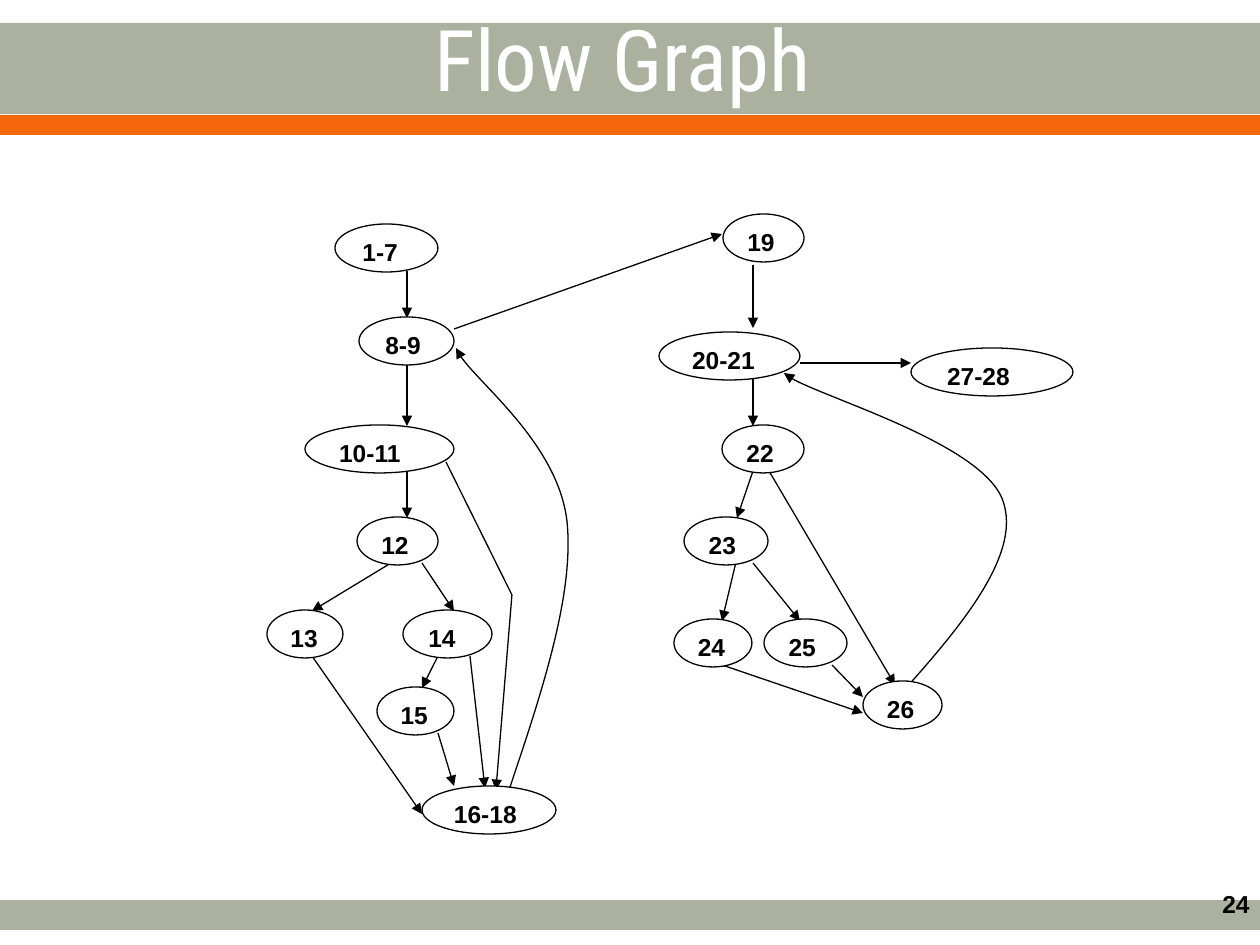
"""Build a slide with the flow graph of a program's line ranges."""
from dataclasses import dataclass

from lxml import etree
from pptx import Presentation
from pptx.dml.color import RGBColor
from pptx.enum.shapes import MSO_CONNECTOR, MSO_SHAPE
from pptx.enum.text import MSO_ANCHOR, PP_ALIGN
from pptx.oxml.ns import qn
from pptx.util import Pt

PX = 914400 / 126
NODE_HEIGHT = 48
OVAL, RECTANGLE = MSO_SHAPE.OVAL, MSO_SHAPE.RECTANGLE
STRAIGHT = MSO_CONNECTOR.STRAIGHT
LEFT, CENTER, RIGHT = PP_ALIGN.LEFT, PP_ALIGN.CENTER, PP_ALIGN.RIGHT
TOP, MIDDLE = MSO_ANCHOR.TOP, MSO_ANCHOR.MIDDLE
BLACK, WHITE, SAGE, ORANGE = "000000", "FFFFFF", "ABB19F", "F4680B"
LABEL_FORMAT = {"name": "Arial", "size": Pt(14), "bold": True}
TITLE_FORMAT = {"name": "Roboto Condensed", "size": Pt(48.6)}


@dataclass
class Band:
    """A full-width colour band."""
    top: int
    height: int
    color: str


@dataclass
class Node:
    """A block of program lines."""
    lines: str
    left: int
    top: int
    width: int


@dataclass
class Edge:
    """A straight jump between two points."""
    x1: int
    y1: int
    x2: int
    y2: int


@dataclass
class Route:
    """A jump along several points, which steer cubic curves if curved."""
    points: list[tuple[int, int]]
    curved: bool


BANDS = [Band(900, 30, SAGE), Band(23, 91, SAGE), Band(115, 20, ORANGE)]
NODES = [
    Node("1-7", 335, 224, 103), Node("8-9", 359, 317, 95),
    Node("10-11", 305, 425, 149), Node("12", 357, 517, 81),
    Node("13", 267, 610, 76), Node("14", 403, 610, 89),
    Node("15", 377, 687, 77), Node("16-18", 422, 786, 134),
    Node("19", 723, 214, 81), Node("20-21", 659, 332, 141),
    Node("27-28", 911, 348, 162), Node("22", 722, 425, 82),
    Node("23", 684, 517, 84), Node("24", 674, 619, 78),
    Node("25", 764, 619, 83), Node("26", 863, 681, 79),
]
ROUTES = [
    Route([(446, 462), (512, 595), (496, 790)], False),
    Route([(504, 805), (539, 701), (575, 597), (567, 521),
           (558, 445), (464, 372), (456, 348)], True),
    Route([(878, 719), (949, 641), (1021, 562), (1004, 504),
           (989, 446), (800, 391), (784, 373)], True),
]
EDGES = [
    Edge(407, 271, 407, 318), Edge(407, 363, 407, 426),
    Edge(407, 471, 407, 518), Edge(391, 563, 312, 611),
    Edge(422, 563, 454, 611), Edge(438, 656, 422, 688),
    Edge(438, 733, 454, 786), Edge(470, 656, 485, 788),
    Edge(312, 656, 422, 814), Edge(454, 329, 722, 234),
    Edge(753, 265, 753, 328), Edge(800, 363, 911, 363),
    Edge(753, 379, 753, 426), Edge(753, 471, 737, 518),
    Edge(769, 471, 895, 685), Edge(737, 558, 722, 621),
    Edge(753, 563, 800, 621), Edge(722, 665, 863, 713),
    Edge(832, 665, 863, 697),
]


def emu(*pixels: int) -> list[int]:
    """Turn pixels into EMU."""
    return [round(value * PX) for value in pixels]


def rgb(color: str) -> RGBColor:
    """Turn a hex string into a colour."""
    return RGBColor.from_string(color)


def style_line(line) -> None:
    """Give a thin black line."""
    line.color.rgb = rgb(BLACK)
    line.width = Pt(0.75)


def add_arrowhead(shape) -> None:
    """End the line of a shape in a triangle."""
    style_line(shape.line)
    outline = shape.line._get_or_add_ln()
    etree.SubElement(outline, qn("a:tailEnd"), type="triangle")


def write(shape, text: str, formats: dict, color: str,
          align=LEFT, anchor=TOP) -> None:
    """Write one formatted paragraph into a shape."""
    frame = shape.text_frame
    frame.word_wrap = True
    frame.vertical_anchor = anchor
    paragraph = frame.paragraphs[0]
    paragraph.alignment = align
    run = paragraph.add_run()
    run.text = text
    for name, value in formats.items():
        setattr(run.font, name, value)
    run.font.color.rgb = rgb(color)


def draw_band(slide, band: Band) -> None:
    """Draw a band across the slide."""
    box = emu(0, band.top, 1260, band.height)
    shape = slide.shapes.add_shape(RECTANGLE, *box)
    shape.shadow.inherit = False
    shape.fill.solid()
    shape.fill.fore_color.rgb = rgb(band.color)
    shape.line.fill.background()


def draw_node(slide, node: Node) -> None:
    """Draw an ellipse labelled with its lines."""
    box = emu(node.left, node.top, node.width, NODE_HEIGHT)
    shape = slide.shapes.add_shape(OVAL, *box)
    shape.shadow.inherit = False
    shape.fill.solid()
    shape.fill.fore_color.rgb = rgb(WHITE)
    style_line(shape.line)
    write(shape, node.lines, LABEL_FORMAT, BLACK)


def draw_edge(slide, edge: Edge) -> None:
    """Draw a straight arrow."""
    ends = emu(edge.x1, edge.y1, edge.x2, edge.y2)
    arrow = slide.shapes.add_connector(STRAIGHT, *ends)
    add_arrowhead(arrow)
    etree.SubElement(arrow._element.spPr, qn("a:effectLst"))


def draw_route(slide, route: Route) -> None:
    """Draw an arrow through bends or along cubic curves."""
    start, *rest = route.points
    builder = slide.shapes.build_freeform(*start, scale=PX)
    builder.add_line_segments(rest, close=False)
    shape = builder.convert_to_shape()
    shape.shadow.inherit = False
    if route.curved:
        shape.fill.background()
        outline = next(shape._element.iter(qn("a:path")))
        segments = outline.findall(qn("a:lnTo"))
        for first in range(0, len(segments), 3):
            curve = etree.SubElement(outline, qn("a:cubicBezTo"))
            for segment in segments[first:first + 3]:
                curve.append(segment[0])
                outline.remove(segment)
    else:
        shape.fill.solid()
        shape.fill.fore_color.rgb = rgb(WHITE)
    add_arrowhead(shape)


def main() -> None:
    """Build and save the slide."""
    deck = Presentation()
    deck.slide_width, deck.slide_height = emu(1260, 945)
    slide = deck.slides.add_slide(deck.slide_layouts[6])
    for draw, parts in ((draw_band, BANDS), (draw_route, ROUTES),
                        (draw_edge, EDGES), (draw_node, NODES)):
        for part in parts:
            draw(slide, part)
    title = slide.shapes.add_textbox(*emu(34, 29, 1197, 57))
    write(title, "Flow Graph ", TITLE_FORMAT, WHITE, CENTER, MIDDLE)
    page_number = slide.shapes.add_textbox(*emu(968, 883, 294, 66))
    write(page_number, "24", LABEL_FORMAT, BLACK, RIGHT)
    deck.save("out.pptx")


main()
